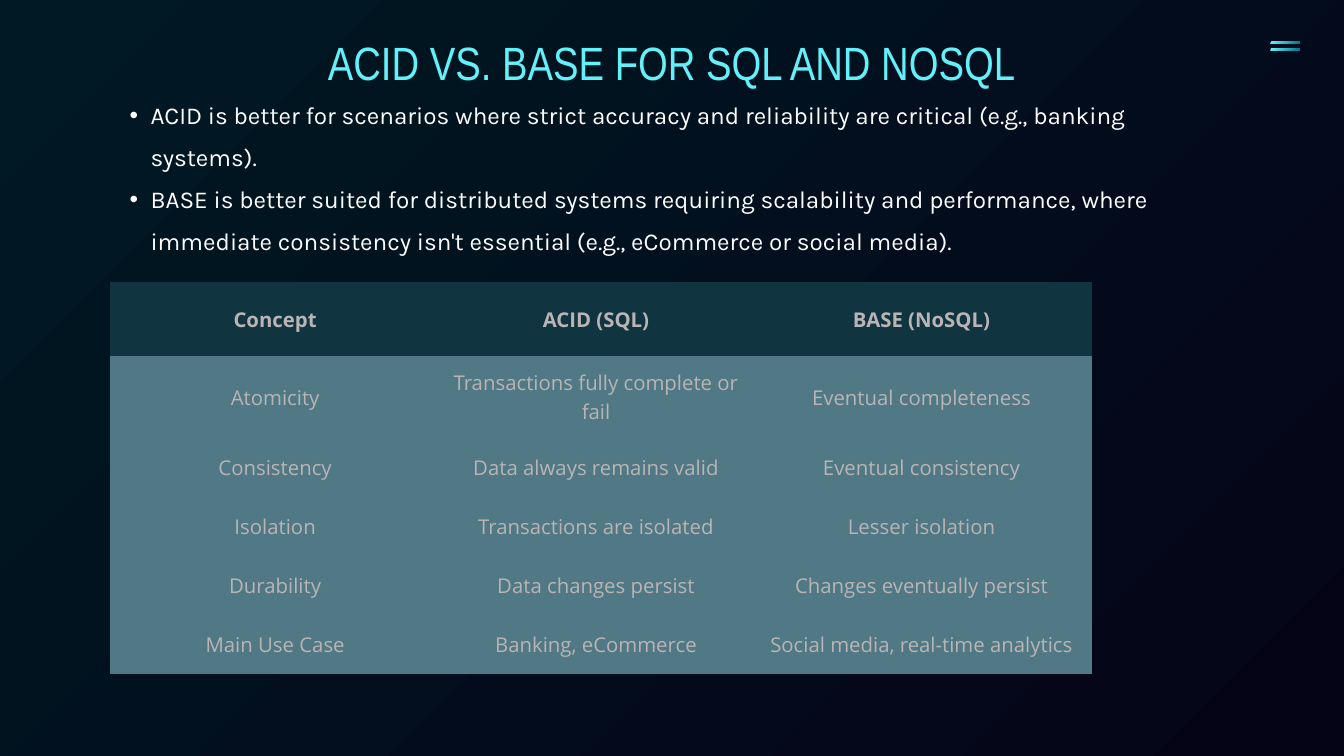
from dataclasses import dataclass

from lxml import etree
from pptx import Presentation
from pptx.dml.color import RGBColor
from pptx.enum.shapes import MSO_SHAPE
from pptx.enum.text import MSO_ANCHOR, MSO_AUTO_SIZE, PP_ALIGN
from pptx.oxml.ns import qn
from pptx.util import Inches, Pt

RECTANGLE = MSO_SHAPE.RECTANGLE
CENTER, LEFT = PP_ALIGN.CENTER, PP_ALIGN.LEFT
TOP, MIDDLE = MSO_ANCHOR.TOP, MSO_ANCHOR.MIDDLE
NO_FIT = MSO_AUTO_SIZE.NONE
TITLE_AND_CONTENT = 1
PLAIN_TABLE_STYLE = "{2D5ABB26-0587-4C30-8999-92F81FD0307C}"

TITLE = "ACID VS. BASE FOR SQL AND NOSQL"
BULLETS = [
    "ACID is better for scenarios where strict accuracy and reliability are "
    "critical (e.g., banking systems).",
    "BASE is better suited for distributed systems requiring scalability and "
    "performance, where immediate consistency isn't essential "
    "(e.g., eCommerce or social media).",
]
COMPARISON = [
    ("Concept", "ACID (SQL)", "BASE (NoSQL)"),
    ("Atomicity", "Transactions fully complete or fail", "Eventual completeness"),
    ("Consistency", "Data always remains valid", "Eventual consistency"),
    ("Isolation", "Transactions are isolated", "Lesser isolation"),
    ("Durability", "Data changes persist", "Changes eventually persist"),
    ("Main Use Case", "Banking, eCommerce", "Social media, real-time analytics"),
]


@dataclass(frozen=True)
class Theme:
    background: tuple = ("001924", "050417")
    menu: tuple = ("68F8FF", "007489")
    header_fill: str = "103540"
    body_fill: str = "507985"
    # Text styles: font, size, colour, line spacing
    title: tuple = ("Arial Narrow", 50, "63F1F9", 70)
    bullet: tuple = ("Karla", 26, "FFFFFF", 44.7)
    cell: tuple = ("Open Sans", 21.8, "BAB4B4", 30.6)


THEME = Theme()
WIDTH, HEIGHT = 20, 11.25
MARGIN = 1.63
TITLE_WIDTH = 14.36
TITLE_BOX = ((WIDTH - TITLE_WIDTH) / 2, 0.36, TITLE_WIDTH, 0.94)
BULLET_BOX = (MARGIN, 1.31, WIDTH - 2 * MARGIN, 2.42)
BULLET_INDENT, BULLET_HANG = 0.61, -0.31
COLUMNS = (4.93, 4.62, 5.07)
ROWS = (1.1, 1.07) + (0.88,) * 4
TABLE_BOX = (MARGIN, 4.2, sum(COLUMNS), sum(ROWS))
CELL_MARGIN = 0.18
MENU_LEFT, MENU_TOP, MENU_STEP = 18.91, 0.62, 0.1
MENU_BAR = (0.43, 0.03)


def inches(lengths):
    return [Inches(length) for length in lengths]


def set_gradient(fill, colors):
    """Blend two colours from top left to bottom right."""
    fill.gradient()
    fill.gradient_angle = 315
    for stop, color in zip(fill.gradient_stops, colors):
        stop.color.rgb = RGBColor.from_string(color)


def write(paragraph, text, style, align, bold=False):
    font_name, size, color, spacing = style
    layout = {"alignment": align, "line_spacing": Pt(spacing),
              "space_before": Pt(0), "space_after": Pt(0)}
    for name, value in layout.items():
        setattr(paragraph, name, value)
    run = paragraph.add_run()
    run.text = text
    for name, value in {"name": font_name, "size": Pt(size), "bold": bold}.items():
        setattr(run.font, name, value)
    run.font.color.rgb = RGBColor.from_string(color)


def add_bullet(paragraph):
    properties = paragraph._p.get_or_add_pPr()
    properties.set("marL", str(Inches(BULLET_INDENT)))
    properties.set("indent", str(Inches(BULLET_HANG)))
    etree.SubElement(properties, qn("a:buFont")).set("typeface", "Arial")
    etree.SubElement(properties, qn("a:buChar")).set("char", "•")


def place(placeholder, box):
    """Move a placeholder and return its text frame without margins."""
    for name, value in zip(("left", "top", "width", "height"), inches(box)):
        setattr(placeholder, name, value)
    frame = placeholder.text_frame
    settings = {"margin_left": 0, "margin_right": 0, "margin_top": 0,
                "margin_bottom": 0, "word_wrap": True, "auto_size": NO_FIT,
                "vertical_anchor": TOP}
    for name, value in settings.items():
        setattr(frame, name, value)
    return frame


def add_menu(slide):
    for index in range(2):
        bar = slide.shapes.add_shape(RECTANGLE, *inches(
            (MENU_LEFT, MENU_TOP + index * MENU_STEP, *MENU_BAR)))
        bar.shadow.inherit = False
        bar.line.fill.background()
        set_gradient(bar.fill, THEME.menu)


def add_comparison(slide):
    frame = slide.shapes.add_table(len(ROWS), len(COLUMNS), *inches(TABLE_BOX))
    table = frame.table
    table.horz_banding = False
    table._tbl.tblPr.find(qn("a:tableStyleId")).text = PLAIN_TABLE_STYLE
    for column, width in zip(table.columns, inches(COLUMNS)):
        column.width = width
    for index, (row, height, texts) in enumerate(
            zip(table.rows, inches(ROWS), COMPARISON)):
        row.height = height
        is_header = index == 0
        color = THEME.header_fill if is_header else THEME.body_fill
        for cell, text in zip(row.cells, texts):
            for side in ("left", "right", "top", "bottom"):
                setattr(cell, f"margin_{side}", Inches(CELL_MARGIN))
            cell.vertical_anchor = MIDDLE
            cell.fill.solid()
            cell.fill.fore_color.rgb = RGBColor.from_string(color)
            write(cell.text_frame.paragraphs[0], text, THEME.cell, CENTER, is_header)


def main():
    presentation = Presentation()
    presentation.slide_width, presentation.slide_height = inches((WIDTH, HEIGHT))
    layout = presentation.slide_layouts[TITLE_AND_CONTENT]
    slide = presentation.slides.add_slide(layout)
    set_gradient(slide.background.fill, THEME.background)

    add_menu(slide)
    add_comparison(slide)

    title_frame = place(slide.shapes.title, TITLE_BOX)
    write(title_frame.paragraphs[0], TITLE, THEME.title, CENTER)

    body_frame = place(slide.placeholders[1], BULLET_BOX)
    for index, text in enumerate(BULLETS):
        paragraph = body_frame.add_paragraph() if index else body_frame.paragraphs[0]
        paragraph.level = 1
        write(paragraph, text, THEME.bullet, LEFT)
        add_bullet(paragraph)

    presentation.save("out.pptx")


if __name__ == "__main__":
    main()
